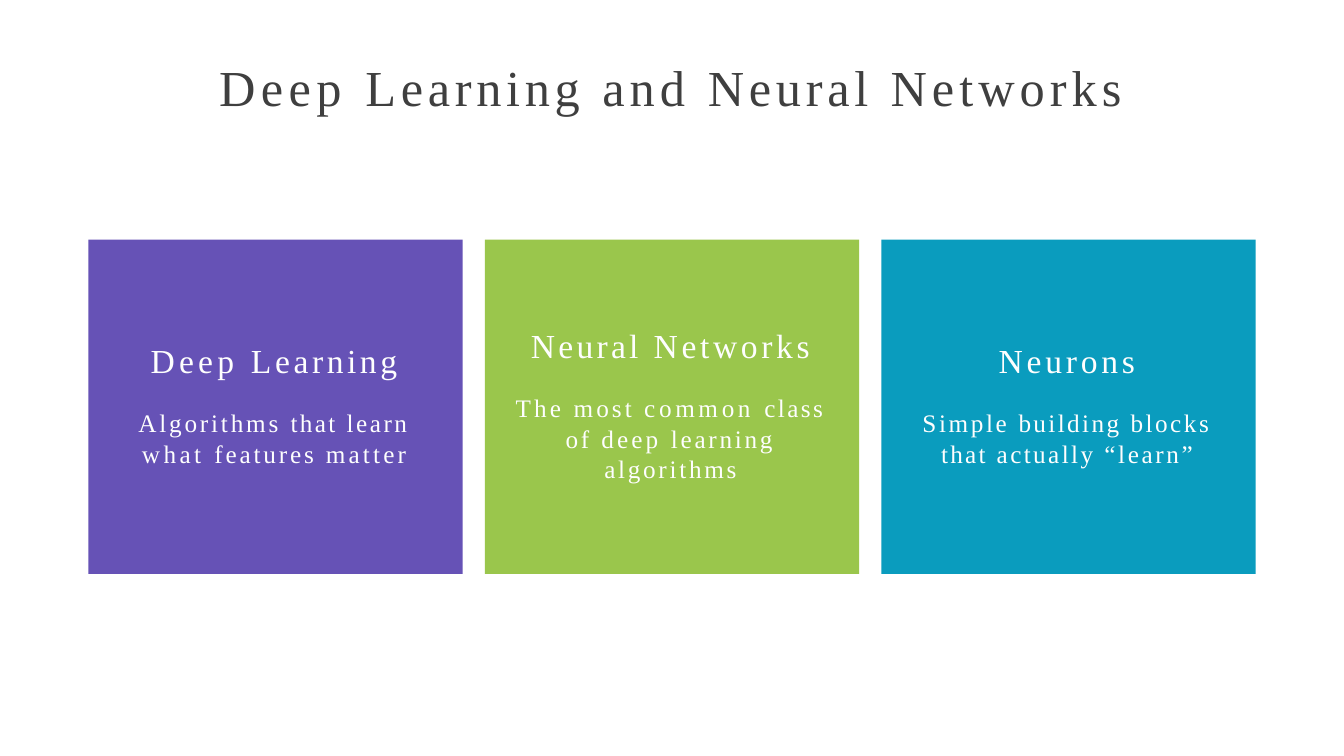
from pptx import Presentation
from pptx.dml.color import RGBColor
from pptx.enum.shapes import MSO_SHAPE
from pptx.enum.text import MSO_ANCHOR, MSO_AUTO_SIZE, PP_ALIGN
from pptx.util import Inches, Pt

RECT = MSO_SHAPE.RECTANGLE
MIDDLE = MSO_ANCHOR.MIDDLE
CENTER = PP_ALIGN.CENTER
FIXED = MSO_AUTO_SIZE.NONE

FONT = "Times New Roman"
COLORS = {
    "ink": "3F3F3F",
    "light": "FEFEFE",
    "purple": "6652B6",
    "green": "9AC64C",
    "blue": "0A9CBE",
}
TITLE = ("Deep Learning and Neural Networks", [5.2, 4.5, 4.8, 4.5, 4.8])
CARDS = [
    ("purple", ("Deep Learning", [4, 3.4]),
     ("Algorithms that learn what features matter",
      [2.7, 2.3, 2.4, 3.3, 2.7, 3])),
    ("green", ("Neural Networks", [3.1, 3.5]),
     ("The most common class of deep learning algorithms",
      [3, 2.9, 3.5, 2.3, 2.7, 3, 2.6, 2.6])),
    ("blue", ("Neurons", [3.6]),
     ("Simple building blocks that actually “learn”",
      [2.5, 2.3, 2.4, 2.2, 2.3, 2.5])),
]

WIDTH, HEIGHT = 17.78, 10
CARD_W, CARD_H, GAP = 4.95, 4.42, 0.295
TOP = 3.17
LEFT = (WIDTH - len(CARDS) * CARD_W - (len(CARDS) - 1) * GAP) / 2
PAD, NUDGE, RISE = 0.37, 0.02, 0.05


def color(name):
    return RGBColor.from_string(COLORS[name])


def write(par, text, size=24, ink="light", line=1.02, after=0):
    par.alignment = CENTER
    par.line_spacing = line
    par.space_before = Pt(0)
    par.space_after = Pt(after)
    phrase, tracks = text
    words = phrase.split()
    for pos, (word, track) in enumerate(zip(words, tracks), 1):
        run = par.add_run()
        run.text = word if pos == len(words) else word + " "
        run.font.name = FONT
        run.font.size = Pt(size)
        run.font.color.rgb = color(ink)
        run._r.get_or_add_rPr().set("spc", str(round(track * 100)))


def frame(shape):
    box = shape.text_frame
    box.word_wrap = True
    box.auto_size = FIXED
    box.vertical_anchor = MIDDLE
    box.margin_left = box.margin_right = 0
    box.margin_top = box.margin_bottom = 0
    return box


def main():
    deck = Presentation()
    deck.slide_width, deck.slide_height = Inches(WIDTH), Inches(HEIGHT)
    slide = deck.slides.add_slide(deck.slide_layouts[5])
    shapes = slide.shapes

    title = shapes.title
    title.left, title.top = Inches(LEFT - NUDGE), Inches(0.73)
    title.width, title.height = Inches(WIDTH - 2 * LEFT), Inches(0.81)
    write(frame(title).paragraphs[0], TITLE, size=48, ink="ink", line=1.01)

    for col, (fill, head, body) in enumerate(CARDS):
        left = LEFT + col * (CARD_W + GAP)
        card = shapes.add_shape(
            RECT, Inches(left), Inches(TOP), Inches(CARD_W), Inches(CARD_H))
        card.shadow.inherit = False
        card.fill.solid()
        card.fill.fore_color.rgb = color(fill)
        card.line.fill.background()
        label = shapes.add_textbox(
            Inches(left + PAD - NUDGE), Inches(TOP - RISE),
            Inches(CARD_W - 2 * PAD), Inches(CARD_H))
        box = frame(label)
        write(box.paragraphs[0], head, size=32, line=1.07, after=25)
        write(box.add_paragraph(), body)

    deck.save("out.pptx")


if __name__ == "__main__":
    main()
